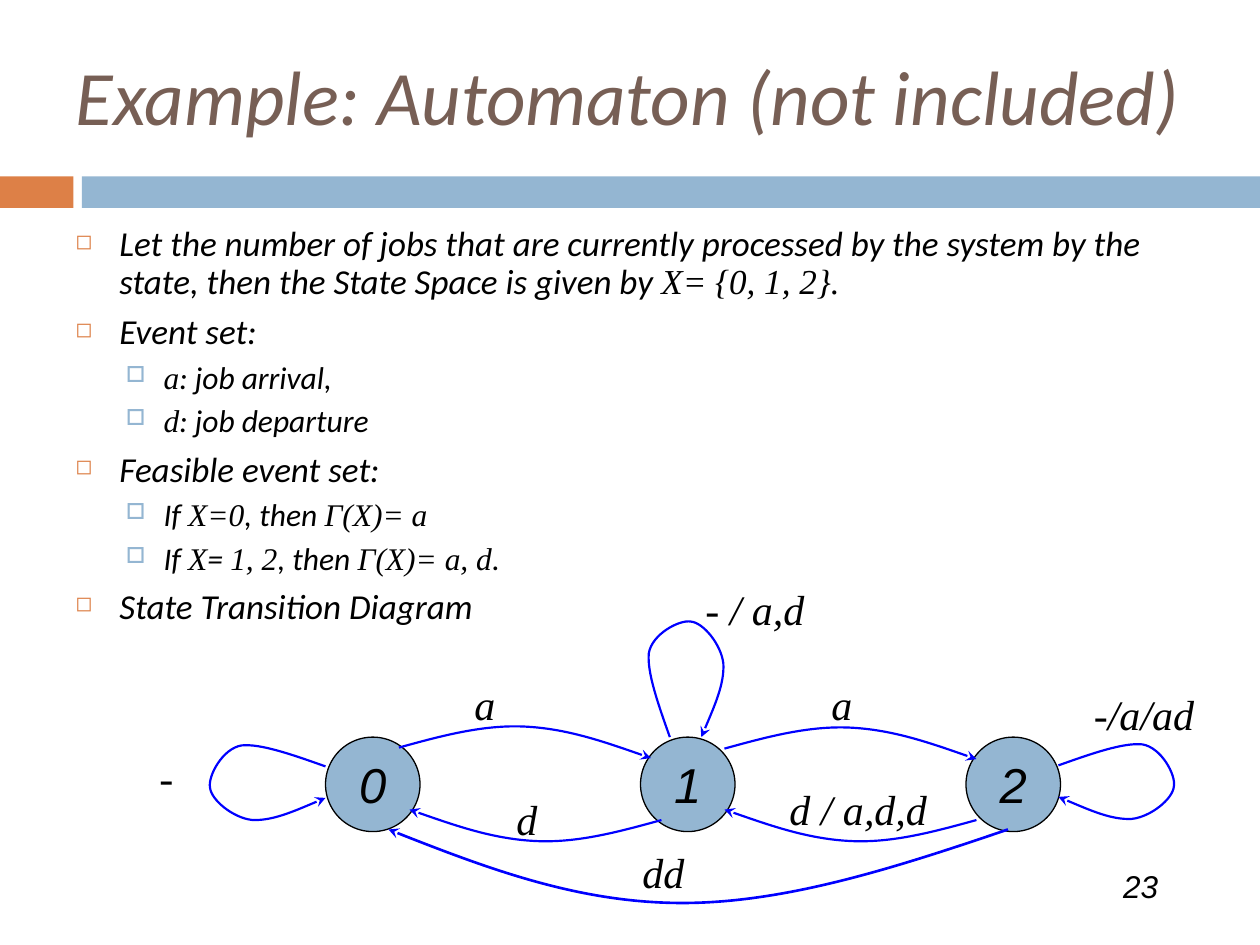
from lxml.etree import SubElement as Sub
from pptx import Presentation
from pptx.dml.color import RGBColor as RGB
from pptx.enum.shapes import MSO_SHAPE as Form
from pptx.enum.text import MSO_ANCHOR as Anchor, MSO_AUTO_SIZE as Auto, PP_ALIGN as Align
from pptx.oxml.ns import qn
from pptx.util import Inches, Pt

BLACK = RGB(0x00, 0x00, 0x00)
BROWN = RGB(0x77, 0x5F, 0x55)
ORANGE = RGB(0xDD, 0x80, 0x47)
SKY = RGB(0x94, 0xB6, 0xD2)
BLUE = RGB(0x00, 0x00, 0xFF)
SANS, SERIF, ARIAL = "Calibri", "Times New Roman", "Arial"

# Grid: 12 units to the inch, so the slide is 120 by 90 units
WIDE, HIGH = 120, 90

TITLE = "Example: Automaton (not included)"
# Each line: level, then runs that alternate between sans and serif
BODY = [
    (0, ["Let the number of jobs that are currently processed by the system "
         "by the state, then the State Space is given by ", "X= {0, 1, 2}."]),
    (0, ["Event set:"]),
    (1, ["", "a", ": job arrival,"]),
    (1, ["", "d", ": job departure"]),
    (0, ["Feasible event set:"]),
    (1, ["If ", "X=0", ", then ", "Γ(X)= a"]),
    (1, ["If ", "X", "= ", "1, 2", ", then ", "Γ(Χ)= a, d", "."]),
    (0, ["State Transition Diagram"]),
]
LEVELS = [
    dict(size=20, left=0.35, hang=0.35, gap=7, mark="◻", share=60, color=ORANGE),
    dict(size=18, left=0.7, hang=0.3, gap=5.5, mark="□", share=70, color=SKY),
]
BANDS = [(0, 7, ORANGE), (7.8, WIDE - 7.8, SKY)]  # left, width, colour
NODES = [("0", 31), ("1", 61), ("2", 92)]  # state, left
LABELS = [  # text, left, top, width
    ("a", 44, 64, 13), ("- / a,d", 66, 55, 13), ("a", 78, 64, 13),
    ("-", 14, 71, 13), ("d", 48, 75, 18), ("d / a,d,d", 74, 74, 16),
    ("dd", 60, 80, 13), ("-/a/ad", 103, 65, 13),
]
# Bezier points, relative to the start of the curve
ARC = [(0, 0), (4, -1.1), (8, -2.2), (12, -2), (16, -1.8), (20, -0.4), (24, 1)]
LOOP = [(0, 0), (3.1, -1.1), (6.2, -2.2), (8, -2), (9.8, -1.7), (11.2, 0.9),
        (11, 2), (10.9, 3.2), (8.8, 4.9), (7, 5.1), (5.1, 5.2), (2.6, 4.1), (0, 3)]
SWEEP = [(0, 0), (10.6, 3.6), (21.1, 7), (31, 7), (40.8, 7), (49.9, 3.6), (59, 0)]
# Directions: where a curve's own x and y axes point on the slide
EAST, WEST = ((1, 0), (0, 1)), ((-1, 0), (0, 1))
NORTH, BACK = ((0, -1), (1, 0)), ((-1, 0), (0, -1))
EDGES = [  # curve, start, direction, line width
    (ARC, (38, 71.2), EAST, 1.25), (ARC, (69, 71.3), EAST, 1.25),
    (ARC, (63, 78.1), BACK, 1.25), (ARC, (93, 78.1), BACK, 1.25),
    (LOOP, (31, 73), WEST, 1.25), (LOOP, (100.8, 72.9), EAST, 1.25),
    (LOOP, (63.8, 70.2), NORTH, 1.25), (SWEEP, (96, 79), WEST, 1.5),
]


def grid(*units):
    return [Inches(u / 12) for u in units]


def style(run, size, name, color=BLACK):
    look = dict(size=Pt(size), name=name, italic=True)
    for key, val in look.items():
        setattr(run.font, key, val)
    run.font.color.rgb = color


def write(frame, text, size, name, color=BLACK, **form):
    for key, val in form.items():
        setattr(frame, key, val)
    para = frame.paragraphs[0]
    run = para.add_run()
    run.text = text
    style(run, size, name, color)
    return para


def solid(kind, box, color):
    shape = shapes.add_shape(kind, *grid(*box))
    shape.shadow.inherit = False
    shape.fill.solid()
    shape.fill.fore_color.rgb = color
    return shape


def bullet(para, lev):
    props = para._p.get_or_add_pPr()
    props.set("marL", str(Inches(lev["left"])))
    props.set("indent", str(-Inches(lev["hang"])))
    tint = Sub(props, qn("a:buClr"))
    Sub(tint, qn("a:srgbClr"), val=str(lev["color"]))
    Sub(props, qn("a:buSzPct"), val=str(lev["share"] * 1000))
    Sub(props, qn("a:buChar"), char=lev["mark"])


def curve(points, start, axes, width):
    (ax, ay), (bx, by) = axes
    spots = [grid(start[0] + u * ax + v * bx, start[1] + u * ay + v * by)
             for u, v in points]
    pen = shapes.build_freeform(*spots[0])
    pen.add_line_segments(spots[1:], close=False)
    shape = pen.convert_to_shape()
    shape.shadow.inherit = False
    shape.fill.background()
    shape.line.color.rgb = BLUE
    shape.line.width = Pt(width)
    # Turn every three line points into one Bezier segment
    route = shape._element.find(".//" + qn("a:path"))
    steps = route.findall(qn("a:lnTo"))
    for i in range(0, len(steps), 3):
        bend = Sub(route, qn("a:cubicBezTo"))
        for step in steps[i:i + 3]:
            bend.append(step[0])
            route.remove(step)
    Sub(shape.line._get_or_add_ln(), qn("a:tailEnd"), type="stealth")


deck = Presentation()
deck.slide_width, deck.slide_height = grid(WIDE, HIGH)
slide = deck.slides.add_slide(deck.slide_layouts[5])
shapes = slide.shapes

# Bands under the title
for left, width, color in BANDS:
    solid(Form.RECTANGLE, (left, 16.8, width, 3), color).line.fill.background()

# Title
title = shapes.title
title.left, title.top, title.width, title.height = grid(6, 0, 108, 18)
para = write(title.text_frame, TITLE, 44, SANS, BROWN, word_wrap=True,
             auto_size=Auto.NONE, vertical_anchor=Anchor.MIDDLE)
para.alignment = Align.LEFT

# Bulleted text
frame = shapes.add_textbox(*grid(6, 21, 108, 41)).text_frame
frame.word_wrap = True
for i, (depth, runs) in enumerate(BODY):
    lev = LEVELS[depth]
    para = frame.add_paragraph() if i else frame.paragraphs[0]
    bullet(para, lev)
    para.level = depth
    para.line_spacing = 0.9
    para.space_before = Pt(lev["gap"] if i else 0)
    for j, text in enumerate(runs):
        if text:
            run = para.add_run()
            run.text = text
            style(run, lev["size"], SERIF if j % 2 else SANS)

# States
for text, left in NODES:
    node = solid(Form.OVAL, (left, 70.2, 9, 9), SKY)
    node.line.color.rgb = BLACK
    node.line.width = Pt(0.75)
    para = write(node.text_frame, text, 28, ARIAL, word_wrap=False,
                 vertical_anchor=Anchor.MIDDLE)
    para.alignment = Align.CENTER

# Transitions and their labels
for edge in EDGES:
    curve(*edge)
for text, *box in LABELS:
    label = shapes.add_textbox(*grid(*box, 6))
    write(label.text_frame, text, 24, SERIF, word_wrap=True)

# Slide number
number = shapes.add_textbox(*grid(105.8, 82, 16, 4.8))
number.width = deck.slide_width - number.left
write(number.text_frame, "23", 18, ARIAL, word_wrap=True)

deck.save("out.pptx")
